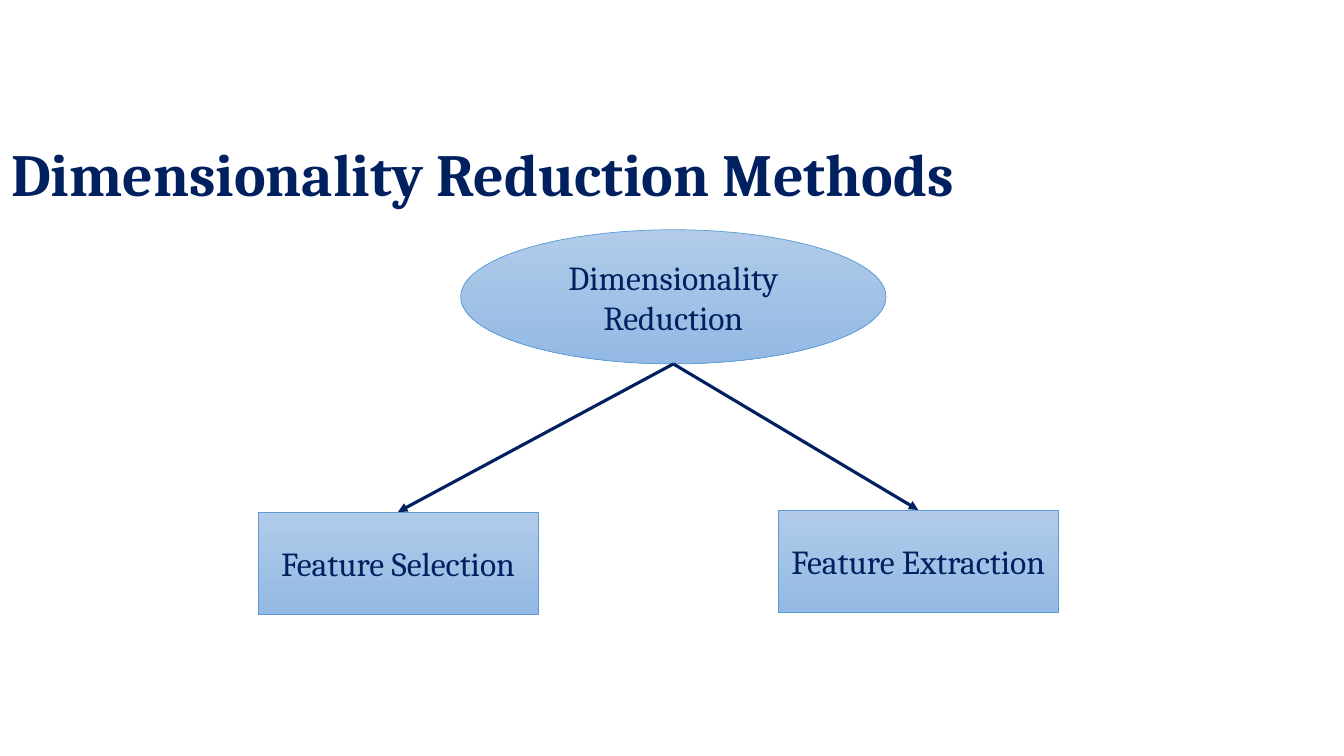
from dataclasses import dataclass

import pptx
import pptx.dml.color
import pptx.enum.dml
import pptx.enum.shapes
import pptx.enum.text
import pptx.oxml
import pptx.oxml.ns
import pptx.util
from pptx.util import Cm

COLORS = {
    "navy": "002060",
    "outline": "5B9BD5",
    "gradient_top": "B1CBE9",
    "gradient_bottom": "93B9E4",
}
FONT = "Cambria"
SHAPES = pptx.enum.shapes.MSO_SHAPE


@dataclass(frozen=True)
class Node:
    label: str
    outline: int
    left: float
    top: float
    width: float
    height: float


METHOD_SIZE = (7.06, 2.59)
REDUCTION = Node("Dimensionality Reduction", SHAPES.OVAL, 11.61, 5.79, 10.72, 3.38)
METHODS = [
    Node("Feature Selection", SHAPES.RECTANGLE, 6.5, 12.9, *METHOD_SIZE),
    Node("Feature Extraction", SHAPES.RECTANGLE, 19.61, 12.85, *METHOD_SIZE),
]


def rgb(name: str) -> pptx.dml.color.RGBColor:
    return pptx.dml.color.RGBColor.from_string(COLORS[name])


def write(frame, text: str, size: float, bold: bool = False) -> None:
    frame.text = text
    frame.word_wrap = True
    frame.vertical_anchor = pptx.enum.text.MSO_ANCHOR.MIDDLE
    font = frame.paragraphs[0].runs[0].font
    font.name = FONT
    font.size = pptx.util.Pt(size)
    font.bold = bold
    font.color.rgb = rgb("navy")


def draw_node(slide, node: Node):
    shape = slide.shapes.add_shape(
        node.outline, Cm(node.left), Cm(node.top), Cm(node.width), Cm(node.height)
    )
    shape.shadow.inherit = False
    shape.fill.gradient()
    shape.fill.gradient_angle = 270
    for stop, color in zip(shape.fill.gradient_stops, ("gradient_top", "gradient_bottom")):
        stop.color.rgb = rgb(color)
    shape.line.color.rgb = rgb("outline")
    shape.line.width = pptx.util.Pt(0.5)
    write(shape.text_frame, node.label, 24)
    shape.text_frame.paragraphs[0].alignment = pptx.enum.text.PP_ALIGN.CENTER
    return shape


def draw_arrow(slide, source, target) -> None:
    start_x = source.left + source.width // 2
    start_y = source.top + source.height
    arrow = slide.shapes.add_connector(
        pptx.enum.shapes.MSO_CONNECTOR.STRAIGHT, start_x, start_y, start_x, start_y
    )
    arrow.end_connect(target, 0)
    arrow.line.color.rgb = rgb("navy")
    arrow.line.width = pptx.util.Pt(2.25)
    # Arrowhead, and no theme shadow
    namespace = pptx.oxml.ns.nsdecls("a")
    properties = arrow.line._get_or_add_ln()
    properties.append(pptx.oxml.parse_xml(f'<a:tailEnd {namespace} type="triangle"/>'))
    properties.getparent().append(pptx.oxml.parse_xml(f"<a:effectLst {namespace}/>"))


def main() -> None:
    presentation = pptx.Presentation()
    presentation.slide_width = Cm(33.87)
    presentation.slide_height = Cm(19.05)
    slide = presentation.slides.add_slide(presentation.slide_layouts[6])

    # Title
    title = slide.shapes.add_textbox(Cm(0.03), Cm(3.28), Cm(33.87), Cm(2.36))
    write(title.text_frame, "Dimensionality Reduction Methods", 42.7, bold=True)
    title.text_frame.paragraphs[0].line_spacing = 0.9

    # Tree of methods
    reduction = draw_node(slide, REDUCTION)
    for node in METHODS:
        method = draw_node(slide, node)
        draw_arrow(slide, reduction, method)

    presentation.save("out.pptx")


if __name__ == "__main__":
    main()
